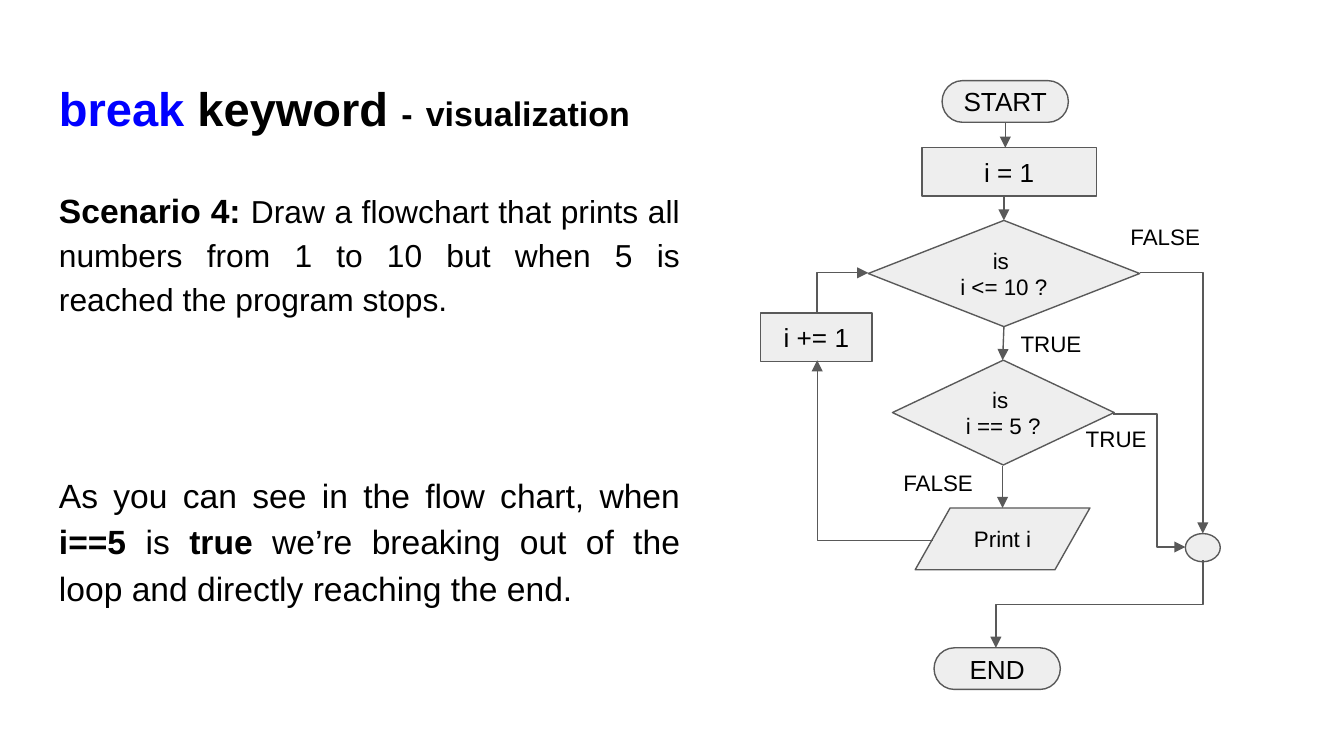
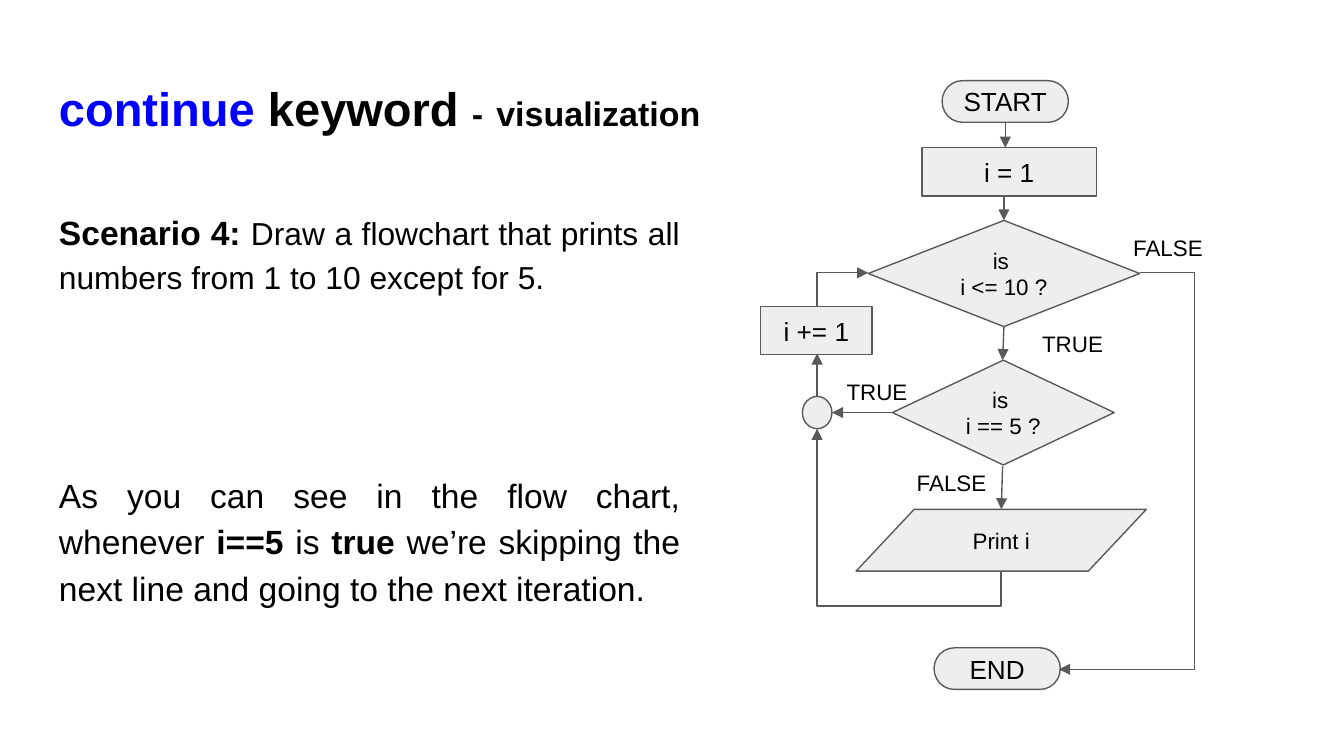
import pptx
import pptx.dml.color
import pptx.enum.shapes
import pptx.enum.text
import pptx.oxml
import pptx.oxml.ns
import pptx.util
from dataclasses import dataclass

Inches = pptx.util.Inches
Shape = pptx.enum.shapes.MSO_SHAPE
Line = pptx.enum.shapes.MSO_CONNECTOR
Align = pptx.enum.text.PP_ALIGN
Anchor = pptx.enum.text.MSO_ANCHOR
qn = pptx.oxml.ns.qn


@dataclass(frozen=True)
class Theme:
    font: str = "Arial"
    ink: str = "000000"
    keyword: str = "0000FF"
    node_fill: str = "EEEEEE"
    outline: str = "595959"
    line_width: float = 0.75
    title: float = 25.2
    subtitle: float = 18.2
    body: float = 18
    task: float = 17
    node: float = 14
    small: float = 12


theme = Theme()


def write_text(shape, paragraphs, align, anchor=Anchor.MIDDLE, spacing=None, after=None):
    """Fill a shape with paragraphs, each a list of (text, size, bold, colour) runs."""
    frame = shape.text_frame
    frame.word_wrap = True
    frame.vertical_anchor = anchor
    frame.margin_left = frame.margin_right = Inches(0.1)
    frame.margin_top = frame.margin_bottom = Inches(0.1)
    for index, runs in enumerate(paragraphs):
        paragraph = frame.add_paragraph() if index else frame.paragraphs[0]
        paragraph.alignment = align
        paragraph.line_spacing = spacing
        paragraph.space_after = pptx.util.Pt(after) if after else None
        for text, size, bold, color in runs:
            run = paragraph.add_run()
            run.text = text
            run.font.name = theme.font
            run.font.size = pptx.util.Pt(size)
            run.font.bold = bold
            run.font.color.rgb = pptx.dml.color.RGBColor.from_string(color)


def connect(shapes, start, end, first=None, turn=None):
    """Draw an arrow; first is the axis ("x" or "y") it leaves along, turn where a double bend turns."""
    (x1, y1), (x2, y2) = start, end
    if first is None:
        connector = shapes.add_connector(
            Line.STRAIGHT, Inches(x1), Inches(y1), Inches(x2), Inches(y2))
    else:
        # In its own frame the route runs along, then across; the rotation keeps across positive.
        if first == "x":
            along, across, rotation = x2 - x1, y2 - y1, 0
        else:
            along, across, rotation = y2 - y1, x1 - x2, 90
        if across < 0:
            along, across, rotation = -along, -across, rotation + 180
        middle_x, middle_y = (x1 + x2) / 2, (y1 + y2) / 2
        connector = shapes.add_connector(
            Line.ELBOW,
            Inches(middle_x - along / 2), Inches(middle_y - across / 2),
            Inches(middle_x + along / 2), Inches(middle_y + across / 2))
        properties = connector._element.spPr
        properties.find(qn("a:xfrm")).set("rot", str(rotation * 60000))
        geometry = properties.find(qn("a:prstGeom"))
        if turn is None:
            geometry.set("prst", "bentConnector2")
        else:
            origin, target = (x1, x2) if first == "x" else (y1, y2)
            share = round((turn - origin) / (target - origin) * 100000)
            guides = geometry.find(qn("a:avLst"))
            guides.append(guides.makeelement(
                qn("a:gd"), {"name": "adj1", "fmla": f"val {share}"}))
    connector.line.color.rgb = pptx.dml.color.RGBColor.from_string(theme.outline)
    connector.line.width = pptx.util.Pt(theme.line_width)
    properties = connector._element.spPr
    outline = properties.find(qn("a:ln"))
    outline.append(outline.makeelement(qn("a:tailEnd"), {"type": "triangle"}))
    properties.append(properties.makeelement(qn("a:effectLst"), {}))


# Nodes: preset, left, top, width, height, lines, type size
shared_nodes = [
    (Shape.FLOWCHART_TERMINATOR, 7.01, 0.6, 0.94, 0.31, ["START"], theme.node),
    (Shape.FLOWCHART_PROCESS, 6.86, 1.1, 1.3, 0.36, ["i = 1"], theme.node),
    (Shape.FLOWCHART_DECISION, 6.46, 1.64, 2.02, 0.79, ["is ", "i <= 10 ?"], theme.small),
    (Shape.FLOWCHART_DECISION, 6.64, 2.68, 1.65, 0.78, ["is ", "i == 5 ?"], theme.small),
    (Shape.FLOWCHART_TERMINATOR, 6.95, 4.82, 0.94, 0.31, ["END"], theme.node),
]
shared_arrows = [
    ((7.48, 0.91), (7.48, 1.1)),
    ((7.47, 1.46), (7.47, 1.64)),
    ((7.47, 2.43), (7.46, 2.68)),
]

slides = [
    {
        "keyword": "break",
        "task": "Draw a flowchart that prints all numbers from 1 to 10 but when 5 is "
                "reached the program stops.",
        "lead": "As you can see in the flow chart, when ",
        "result": " we’re breaking out of the loop and directly reaching the end.",
        "nodes": [
            (Shape.FLOWCHART_PROCESS, 5.66, 2.33, 0.83, 0.36, ["i += 1"], theme.node),
            (Shape.FLOWCHART_DATA, 6.81, 3.78, 1.3, 0.46, ["Print i"], theme.small),
            (Shape.FLOWCHART_CONNECTOR, 8.82, 3.97, 0.26, 0.21, [], theme.small),
        ],
        "labels": [
            ("TRUE", 7.43, 2.39, 0.78, 0.34),
            ("FALSE", 8.28, 1.64, 0.78, 0.24),
            ("TRUE", 7.95, 3.14, 0.71, 0.24),
            ("FALSE", 6.59, 3.4, 0.78, 0.38),
        ],
        "arrows": [
            ((7.46, 3.47), (7.46, 3.78)),
            ((6.08, 2.33), (6.46, 2.03), "y"),
            ((6.94, 4.02), (6.08, 2.68), "x"),
            ((8.28, 3.08), (8.82, 4.07), "x", 8.61),
            ((8.48, 2.03), (8.95, 3.97), "x"),
            ((8.95, 4.17), (7.41, 4.82), "y", 4.5),
        ],
    },
    {
        "keyword": "continue",
        "task": "Draw a flowchart that prints all numbers from 1 to 10 except for 5.",
        "lead": "As you can see in the flow chart, whenever ",
        "result": " we’re skipping the next line and going to the next iteration.",
        "nodes": [
            (Shape.FLOWCHART_PROCESS, 5.66, 2.28, 0.83, 0.36, ["i += 1"], theme.node),
            (Shape.FLOWCHART_DATA, 6.37, 3.79, 2.16, 0.46, ["Print i"], theme.small),
            (Shape.OVAL, 5.97, 2.95, 0.22, 0.24, [], theme.small),
        ],
        "labels": [
            ("TRUE", 7.59, 2.39, 0.78, 0.34),
            ("FALSE", 8.3, 1.72, 0.78, 0.24),
            ("TRUE", 6.17, 2.79, 0.71, 0.24),
            ("FALSE", 6.69, 3.4, 0.78, 0.38),
        ],
        "arrows": [
            ((7.46, 3.47), (7.45, 3.79)),
            ((6.08, 2.28), (6.46, 2.03), "y"),
            ((6.64, 3.07), (6.19, 3.07)),
            ((6.08, 2.95), (6.08, 2.63)),
            ((8.48, 2.03), (7.88, 4.98), "x", 8.89),
            ((7.45, 4.25), (6.08, 3.19), "y", 4.51),
        ],
    },
]

presentation = pptx.Presentation()
presentation.slide_width = Inches(10)
presentation.slide_height = Inches(10 * 9 / 16)

for content in slides:
    slide = presentation.slides.add_slide(presentation.slide_layouts[6])

    title = slide.shapes.add_textbox(Inches(0.34), Inches(0.49), Inches(5.32), Inches(0.63))
    write_text(title, [[
        (content["keyword"], theme.title, True, theme.keyword),
        (" keyword ", theme.title, True, theme.ink),
        ("-", theme.subtitle, True, theme.ink),
        (" ", theme.title, True, theme.ink),
        ("visualization", theme.subtitle, True, theme.ink),
    ]], Align.LEFT, Anchor.TOP)

    scenario = [
        ("Scenario 4: ", theme.body, True, theme.ink),
        (content["task"], theme.task, False, theme.ink),
    ]
    explanation = [
        (content["lead"], theme.body, False, theme.ink),
        ("i==5", theme.body, True, theme.ink),
        (" is ", theme.body, False, theme.ink),
        ("true", theme.body, True, theme.ink),
        (content["result"], theme.body, False, theme.ink),
    ]
    for runs, top, height in [(scenario, 1.13, 1.47), (explanation, 3.2, 1.61)]:
        body = slide.shapes.add_textbox(Inches(0.34), Inches(top), Inches(4.82), Inches(height))
        write_text(body, [runs], Align.JUSTIFY, spacing=1.15, after=12)

    flowchart = slide.shapes.add_group_shape().shapes
    for preset, left, top, width, height, lines, size in shared_nodes + content["nodes"]:
        node = flowchart.add_shape(
            preset, Inches(left), Inches(top), Inches(width), Inches(height))
        node.shadow.inherit = False
        node.fill.solid()
        node.fill.fore_color.rgb = pptx.dml.color.RGBColor.from_string(theme.node_fill)
        node.line.color.rgb = pptx.dml.color.RGBColor.from_string(theme.outline)
        node.line.width = pptx.util.Pt(theme.line_width)
        write_text(node, [[(line, size, False, theme.ink)] for line in lines], Align.CENTER)
    for text, left, top, width, height in content["labels"]:
        label = flowchart.add_textbox(Inches(left), Inches(top), Inches(width), Inches(height))
        write_text(label, [[(text, theme.small, False, theme.ink)]], Align.CENTER)
    for arrow in shared_arrows + content["arrows"]:
        connect(flowchart, *arrow)

presentation.save("out.pptx")
